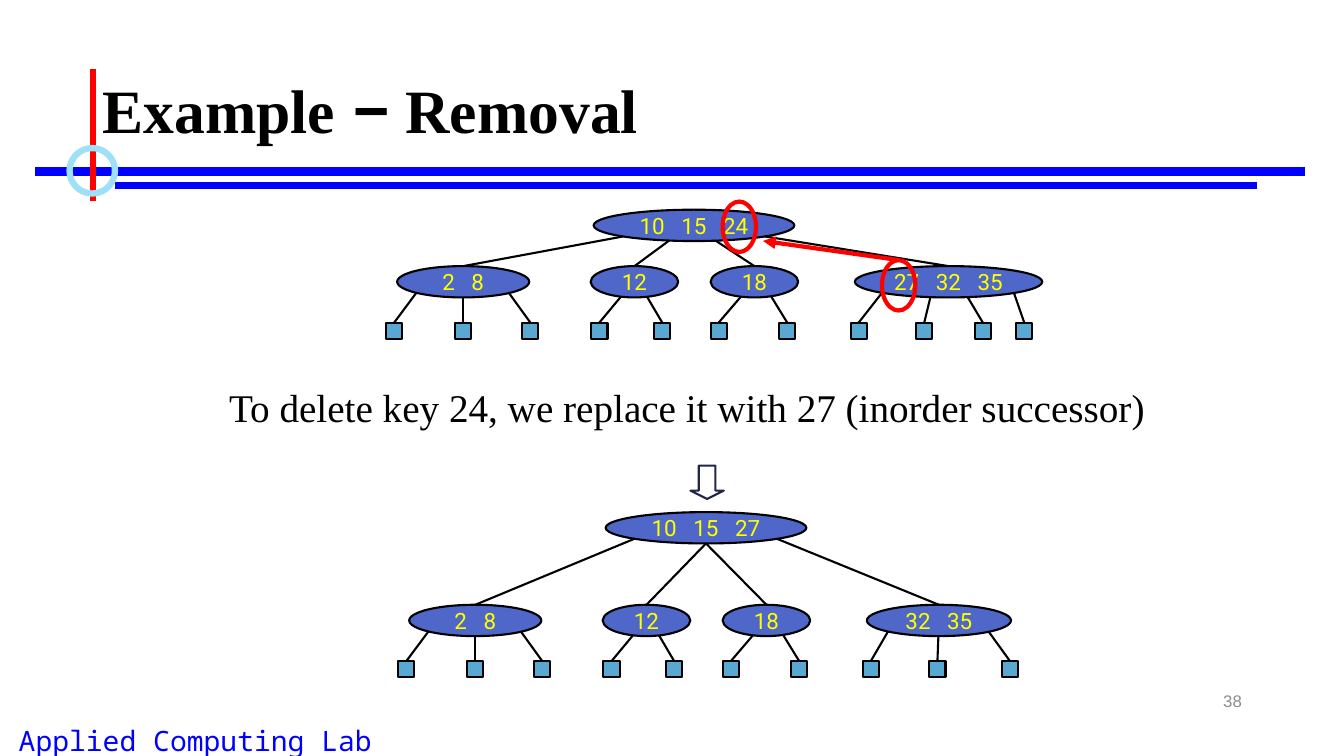
from dataclasses import dataclass
from math import sqrt

from lxml import etree
from pptx import Presentation
from pptx.dml.color import RGBColor
from pptx.enum.shapes import MSO_CONNECTOR, MSO_SHAPE
from pptx.enum.text import MSO_ANCHOR, PP_ALIGN
from pptx.oxml.ns import qn
from pptx.util import Pt

OVAL, BOX, DOWN_ARROW = MSO_SHAPE.OVAL, MSO_SHAPE.RECTANGLE, MSO_SHAPE.DOWN_ARROW
STRAIGHT = MSO_CONNECTOR.STRAIGHT
LEFT, CENTER, RIGHT = PP_ALIGN.LEFT, PP_ALIGN.CENTER, PP_ALIGN.RIGHT
MIDDLE, TOP = MSO_ANCHOR.MIDDLE, MSO_ANCHOR.TOP


@dataclass(frozen=True)
class Theme:
    black: RGBColor = RGBColor(0, 0, 0)
    blue: RGBColor = RGBColor(0, 0, 255)
    red: RGBColor = RGBColor(255, 0, 0)
    sky: RGBColor = RGBColor(0x9E, 0xE0, 0xF8)
    node: RGBColor = RGBColor(0x4E, 0x67, 0xC8)
    key: RGBColor = RGBColor(255, 255, 0)
    leaf: RGBColor = RGBColor(0x59, 0xA8, 0xD1)
    navy: RGBColor = RGBColor(0x21, 0x27, 0x45)
    grey: RGBColor = RGBColor(0x8C, 0x8C, 0x8C)
    serif: str = "Times New Roman"
    sans: str = "Roboto"
    mono: str = "Noto Sans Mono"
    number_font: str = "Arial"
    title_size: int = 44
    message_size: int = 28
    footer_size: int = 20
    key_size: int = 16
    number_size: int = 12


theme = Theme()


def draw_shape(shapes, kind, box, color, width, fill=None):
    shape = shapes.add_shape(kind, *map(Pt, box))
    shape.shadow.inherit = False
    shape.line.color.rgb = color
    shape.line.width = Pt(width)
    if fill is None:
        shape.fill.background()
    else:
        shape.fill.solid()
        shape.fill.fore_color.rgb = fill
    return shape


def draw_line(shapes, start, end, color, width):
    line = shapes.add_connector(STRAIGHT, *map(Pt, (*start, *end)))
    line.line.color.rgb = color
    line.line.width = Pt(width)
    etree.SubElement(line._element.spPr, qn("a:effectLst"))
    return line


deck = Presentation()
deck.slide_width, deck.slide_height = Pt(960), Pt(540)
slide = deck.slides.add_slide(deck.slide_layouts[5])
shapes = slide.shapes

# Rules and ring around the title
for start, end, color, width in [
    ((25.2, 122.4), (932.4, 122.4), theme.blue, 6),
    ((82.1, 132.5), (897.8, 132.5), theme.blue, 4.5),
    ((66.2, 49), (66.2, 143.3), theme.red, 4.5),
]:
    draw_line(shapes, start, end, color, width)
draw_shape(shapes, OVAL, (49.7, 105.8, 32.4, 32.4), theme.sky, 4.5)

# Title, with the dash in the sans font
title = shapes.title
title.left, title.top, title.width, title.height = map(Pt, (66.2, 28.8, 828, 104.4))
title.text_frame.vertical_anchor = MIDDLE
heading = title.text_frame.paragraphs[0]
heading.alignment = LEFT
heading.line_spacing = 0.9
for words, font in [("Example ", theme.serif), ("–", theme.sans), (" Removal", theme.serif)]:
    run = heading.add_run()
    run.text = words
    run.font.name = font
    run.font.size = Pt(theme.title_size)
    run.font.bold = True
    run.font.color.rgb = theme.black

# Footer, slide number and message
for words, box, font, size, color, align, anchor, wrap in [
    ("Applied Computing Lab", (-41.8, 513.4, 362.9, 31), theme.mono,
     theme.footer_size, theme.blue, CENTER, TOP, True),
    ("38", (678.2, 486, 216, 28.8), theme.number_font,
     theme.number_size, theme.grey, RIGHT, MIDDLE, True),
    ("To delete key 24, we replace it with 27 (inorder successor)",
     (156.5, 270, 671, 41), theme.serif,
     theme.message_size, theme.black, LEFT, TOP, False),
]:
    frame = shapes.add_textbox(*map(Pt, box)).text_frame
    frame.text = words
    frame.word_wrap = wrap
    frame.vertical_anchor = anchor
    paragraph = frame.paragraphs[0]
    paragraph.alignment = align
    run_font = paragraph.runs[0].font
    run_font.name, run_font.size = font, Pt(size)
    run_font.color.rgb = color

# Trees: a node is (keys, left, width, children), a child is (its x, x of its edge on the node)
NODE_HEIGHT, LEAF_SIZE, LEAF_DROP = 22.4, 11.6, 40.3
ROOT_LEFT, ROOT_WIDTH = 424, 143.4
shared_nodes = [
    ("2   8", 283.7, 94.4, [(281.6, 297.4), (330.5, 330.5), (378.8, 363.6)]),
    ("12", 421.9, 62.6, [(428.2, 443.5), (473, 462.2)]),
    ("18", 507.6, 62.6, [(513.4, 529.2), (562.3, 550.8)]),
]
before_node = ("27   32   35", 610.6, 133.9,
               [(613.4, 630), (660.2, 664.6), (702, 691.2), (731.6, 724.3)])
after_node = ("32   35", 610.6, 103,
              [(613.4, 625.7), (661, 661.7), (712.9, 697.7)])

# (root keys, x shift, root top, node top, x of the root's edges, nodes)
trees = [
    ("10   15   24", 0, 149.8, 190.1, (445, 478, 511.2, 546.5),
     shared_nodes + [before_node]),
    ("10   15   27", 8.6, 365.8, 432, (444.6, 495.7, 495.7, 546.5),
     shared_nodes + [after_node]),
]
for root_keys, shift, root_top, node_top, root_edges, nodes in trees:
    tree = shapes.add_group_shape().shapes
    node_centres = [left + width / 2 for _, left, width, _ in nodes]
    root = (root_keys, ROOT_LEFT, ROOT_WIDTH, list(zip(node_centres, root_edges)))
    leaf_top = node_top + LEAF_DROP

    for keys, left, width, children in [root] + nodes:
        is_root = keys == root_keys
        top, child_top = (root_top, node_top) if is_root else (node_top, leaf_top)
        oval = draw_shape(tree, OVAL, (left + shift, top, width, NODE_HEIGHT),
                          theme.black, 1.5, theme.node)
        frame = oval.text_frame
        frame.text = keys
        frame.word_wrap = False
        frame.vertical_anchor = MIDDLE
        frame.paragraphs[0].alignment = CENTER
        key_font = frame.paragraphs[0].runs[0].font
        key_font.name, key_font.size = theme.sans, Pt(theme.key_size)
        key_font.color.rgb = theme.key

        # Each edge starts on the lower rim of the oval
        for child_x, edge_x in children:
            offset = (edge_x - left - width / 2) / (width / 2)
            rim_y = top + NODE_HEIGHT / 2 * (1 + sqrt(1 - offset ** 2))
            draw_line(tree, (edge_x + shift, rim_y), (child_x + shift, child_top),
                      theme.black, 1.5)
            if not is_root:
                leaf_left = child_x + shift - LEAF_SIZE / 2
                draw_shape(tree, BOX, (leaf_left, leaf_top, LEAF_SIZE, LEAF_SIZE),
                           theme.black, 1.5, theme.leaf)

# Step arrow from the first tree to the second
step_arrow = draw_shape(shapes, DOWN_ARROW, (493.2, 332.6, 23.8, 23.8), theme.navy, 1.5)
step_arrow.adjustments[0] = 0.5
step_arrow.adjustments[1] = 0.25

# Removed key and its successor
for ring_left, ring_top in [(516.2, 144), (630, 185.8)]:
    draw_shape(shapes, OVAL, (ring_left, ring_top, 23.8, 36), theme.red, 3)
move_arrow = draw_line(shapes, (642.2, 185.8), (545, 172.1), theme.red, 3)
etree.SubElement(move_arrow.line._get_or_add_ln(), qn("a:tailEnd"), type="triangle")

deck.save("out.pptx")
